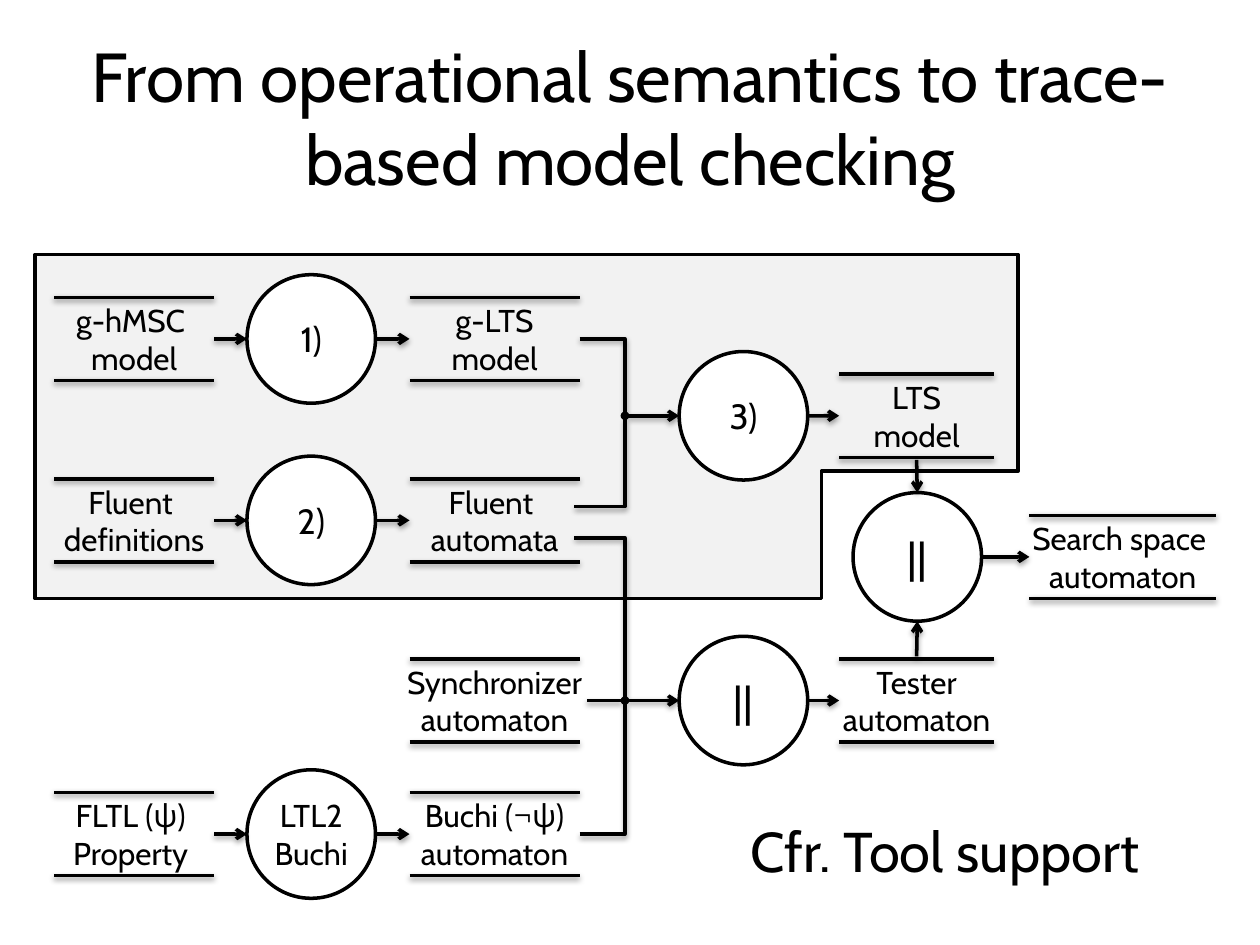
import pptx
import pptx.util
import pptx.dml.color
import pptx.enum.shapes
import pptx.enum.text
import pptx.oxml
import pptx.oxml.ns

Inches = pptx.util.Inches
Pt = pptx.util.Pt
KIND = pptx.enum.shapes.MSO_CONNECTOR
OVAL = pptx.enum.shapes.MSO_SHAPE.OVAL
ALIGN = pptx.enum.text.PP_ALIGN
MIDDLE = pptx.enum.text.MSO_ANCHOR.MIDDLE
BLACK = pptx.dml.color.RGBColor(0x00, 0x00, 0x00)
WHITE = pptx.dml.color.RGBColor(0xFF, 0xFF, 0xFF)
GRAY = pptx.dml.color.RGBColor(0xF2, 0xF2, 0xF2)
FONT = "Cabin"
TOP, LEFT, BOTTOM, RIGHT = range(4)

TITLE = "From operational semantics to trace-based model checking"
NOTE = "Cfr. Tool support"
FRAME = [(0.28, 2.02), (0.28, 4.75), (6.52, 4.75), (6.52, 3.74), (8.08, 3.74), (8.08, 2.02)]

COLS = {"input": (0.43, 1.27), "middle": (3.25, 1.35), "output": (6.66, 1.23), "search": (8.17, 1.48)}
ROWS = {"msc": 2.69, "join": 3.3, "fluent": 4.13, "search": 4.42, "sync": 5.56, "prop": 6.62}
STORES = {
    "msc": ("input", "msc", ["g-hMSC ", "model"]),
    "defs": ("input", "fluent", ["Fluent ", "definitions"]),
    "prop": ("input", "prop", ["FLTL (ψ) ", "Property "]),
    "glts": ("middle", "msc", ["g-LTS", "model"]),
    "auto": ("middle", "fluent", ["Fluent ", "automata"]),
    "sync": ("middle", "sync", ["Synchronizer", "automaton"], 0.06),
    "buchi": ("middle", "prop", ["Buchi (¬ψ)", "automaton"]),
    "lts": ("output", "join", ["LTS", "model"]),
    "test": ("output", "sync", ["Tester", "automaton"]),
    "search": ("search", "search", ["Search space ", "automaton"]),
}
STEPS = [
    (2.47, "msc", ["1)"], 20, "msc", "glts"),
    (2.47, "fluent", ["2)"], 20, "defs", "auto"),
    (2.47, "prop", ["LTL2", "Buchi"], 18, "prop", "buchi"),
    (5.9, "join", ["3)"], 20, None, "lts"),
    (5.9, "sync", ["||"], 24, None, "test"),
    (7.28, "search", ["||"], 24, None, "search"),
]
JOIN_X = 4.96
ELBOWS = [
    (4.6, ROWS["msc"], "join", "glts"),
    (4.56, 4.02, "join", None),
    (4.56, 4.27, "sync", None),
    (4.6, ROWS["prop"], "sync", "buchi"),
]
HIGH, RULE, ROUND, DOT = 0.7, 0.33, 1.02, 0.04

SHADE = (
    '<a:effectLst %s><a:outerShdw blurRad="40000" dist="20000" dir="5400000" rotWithShape="0">'
    '<a:srgbClr val="000000"><a:alpha val="38000"/></a:srgbClr></a:outerShdw></a:effectLst>'
    % pptx.oxml.ns.nsdecls("a")
)
HEAD = '<a:tailEnd %s type="arrow"/>' % pptx.oxml.ns.nsdecls("a")


def write(frame, lines, size, align=ALIGN.CENTER):
    for i, text in enumerate(lines):
        para = frame.paragraphs[0] if i == 0 else frame.add_paragraph()
        para.alignment = align
        run = para.add_run()
        run.text = text
        run.font.name = FONT
        run.font.size = Pt(size)
        run.font.color.rgb = BLACK


def center(frame):
    frame.margin_left = frame.margin_right = 0
    frame.margin_top = frame.margin_bottom = 0
    frame.vertical_anchor = MIDDLE
    frame.word_wrap = False


def paint(shape, color):
    shape.shadow.inherit = False
    shape.fill.solid()
    shape.fill.fore_color.rgb = color
    shape.line.color.rgb = BLACK
    shape.line.width = Pt(2)


def link(group, start, end, arrow=False, kind=KIND.STRAIGHT):
    line = group.add_connector(kind, *[Inches(v) for v in start + end])
    line.line.color.rgb = BLACK
    line.line.width = Pt(2)
    props = line._element.spPr
    if arrow:
        line.line._get_or_add_ln().append(pptx.oxml.parse_xml(HEAD))
    if kind == KIND.ELBOW:
        props.find(pptx.oxml.ns.qn("a:prstGeom")).set("prst", "bentConnector2")
    props.append(pptx.oxml.parse_xml(SHADE))
    return line


def store(group, col, row, lines, pad=0):
    x, wide = COLS[col]
    y = ROWS[row]
    box = group.add_textbox(Inches(x - pad), Inches(y - HIGH / 2), Inches(wide + 2 * pad), Inches(HIGH))
    center(box.text_frame)
    write(box.text_frame, lines, 18)
    for edge in (y - RULE, y + RULE):
        link(group, (x, edge), (x + wide, edge))
    return box


def disc(group, x, y, size, color):
    shape = group.add_shape(OVAL, Inches(x - size / 2), Inches(y - size / 2), Inches(size), Inches(size))
    paint(shape, color)
    return shape


def main():
    deck = pptx.Presentation()
    deck.slide_width, deck.slide_height = Inches(10), Inches(7.5)
    slide = deck.slides.add_slide(deck.slide_layouts[5])

    pen = slide.shapes.build_freeform(*[Inches(v) for v in FRAME[0]])
    pen.add_line_segments([(Inches(x), Inches(y)) for x, y in FRAME[1:]], close=True)
    paint(pen.convert_to_shape(), GRAY)

    title = slide.shapes.title
    title.left, title.top, title.width, title.height = [Inches(v) for v in (0.5, 0.3, 9, 1.25)]
    title.text_frame.vertical_anchor = MIDDLE
    write(title.text_frame, [TITLE], 39.6)

    group = slide.shapes.add_group_shape().shapes
    boxes = {name: store(group, *data) for name, data in STORES.items()}

    for x, row, lines, size, source, target in STEPS:
        y = ROWS[row]
        shape = disc(group, x, y, ROUND, WHITE)
        center(shape.text_frame)
        write(shape.text_frame, lines, size)
        if source:
            left, wide = COLS[STORES[source][0]]
            line = link(group, (left + wide, y), (x - ROUND / 2, y), True)
            line.begin_connect(boxes[source], RIGHT)
        line = link(group, (x + ROUND / 2, y), (COLS[STORES[target][0]][0], y), True)
        line.end_connect(boxes[target], LEFT)

    x, y = STEPS[-1][0], ROWS["search"]
    for name, side, way in (("lts", BOTTOM, -1), ("test", TOP, 1)):
        edge = ROWS[STORES[name][1]] - way * HIGH / 2
        line = link(group, (x, edge), (x, y + way * ROUND / 2), True)
        line.begin_connect(boxes[name], side)

    for x, y, row, name in ELBOWS:
        goal = ROWS[row]
        end = goal - DOT / 2 if y < goal else goal + DOT / 2
        line = link(group, (x, y), (JOIN_X, end), kind=KIND.ELBOW)
        if name:
            line.begin_connect(boxes[name], RIGHT)

    for row in ("join", "sync"):
        y = ROWS[row]
        disc(group, JOIN_X, y, DOT, BLACK)
        link(group, (JOIN_X + DOT / 2, y), (5.9 - ROUND / 2, y), True)
    line = link(group, (4.6, ROWS["sync"]), (JOIN_X - DOT / 2, ROWS["sync"]))
    line.begin_connect(boxes["sync"], RIGHT)

    note = slide.shapes.add_textbox(Inches(5.86), Inches(6.43), Inches(3.39), Inches(0.64))
    note.text_frame.word_wrap = False
    write(note.text_frame, [NOTE], 32, ALIGN.LEFT)
    deck.save("out.pptx")


if __name__ == "__main__":
    main()
